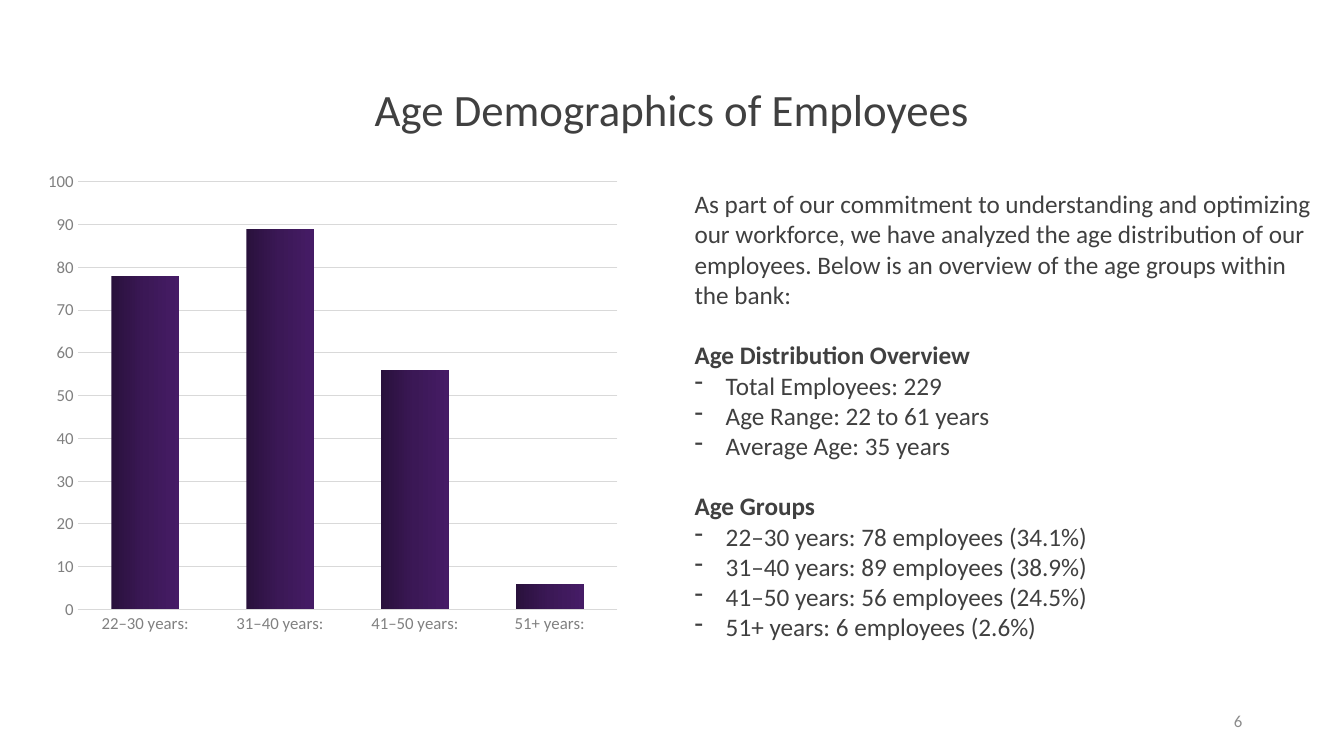
from copy import deepcopy

from pptx import Presentation
from pptx.chart.data import CategoryChartData
from pptx.dml.color import RGBColor
from pptx.enum.chart import XL_CHART_TYPE, XL_TICK_MARK
from pptx.enum.text import MSO_ANCHOR, PP_ALIGN
from pptx.oxml.ns import qn
from pptx.util import Inches, Pt

COLUMNS = XL_CHART_TYPE.COLUMN_CLUSTERED
NO_TICK = XL_TICK_MARK.NONE
TOP, MIDDLE = MSO_ANCHOR.TOP, MSO_ANCHOR.MIDDLE
LEFT, CENTER, RIGHT = PP_ALIGN.LEFT, PP_ALIGN.CENTER, PP_ALIGN.RIGHT

THEME = {
    "font": "Calibri",
    "text": RGBColor.from_string("404040"),
    "axis": RGBColor.from_string("808080"),
    "number": RGBColor.from_string("8C8C8C"),
    "grid": RGBColor.from_string("D9D9D9"),
    "outline": RGBColor.from_string("436FC0"),
    "bar": [RGBColor.from_string(c) for c in ("29113C", "3B1856", "461C66")],
    "title_size": Pt(32),
    "body_size": Pt(18),
    "small_size": Pt(12),
    "hairline": Pt(0.75),
}
WIDTH, HEIGHT = Inches(13.33), Inches(7.5)
MARGIN = Inches(0.36)
INDENT = Inches(0.31)

prs = Presentation()
prs.slide_width, prs.slide_height = WIDTH, HEIGHT
slide = prs.slides.add_slide(prs.slide_layouts[6])


def style(font, size, color, bold=False):
    font.name = THEME["font"]
    font.size = THEME[size]
    font.color.rgb = THEME[color]
    font.bold = bold


def add_text(box, lines, size, color, anchor=TOP, align=LEFT):
    frame = slide.shapes.add_textbox(*box).text_frame
    frame.word_wrap = True
    frame.vertical_anchor = anchor
    for i, (kind, text) in enumerate(lines):
        paragraph = frame.paragraphs[0] if i == 0 else frame.add_paragraph()
        paragraph.text = text
        paragraph.alignment = align
        if kind == "heading":
            paragraph.space_before = Pt(21.6)
        if kind == "item":
            properties = paragraph._p.get_or_add_pPr()
            properties.set("marL", str(INDENT))
            properties.set("indent", str(-INDENT))
            bullet = properties.makeelement(qn("a:buChar"), {"char": "-"})
            properties.append(bullet)
        style(paragraph.font, size, color, kind == "heading")
    return frame


title = add_text((MARGIN, Inches(0.76), WIDTH - 2 * MARGIN, Inches(0.71)),
                 [("plain", "Age Demographics of Employees")],
                 "title_size", "text", MIDDLE, CENTER)
title.paragraphs[0].line_spacing = 0.9

overview = [
    ("plain", "As part of our commitment to understanding and optimizing our workforce, "
              "we have analyzed the age distribution of our employees. "
              "Below is an overview of the age groups within the bank:"),
    ("heading", "Age Distribution Overview"),
    ("item", "Total Employees: 229"),
    ("item", "Age Range: 22 to 61 years"),
    ("item", "Average Age: 35 years"),
    ("heading", "Age Groups"),
    ("item", "22–30 years: 78 employees (34.1%)"),
    ("item", "31–40 years: 89 employees (38.9%)"),
    ("item", "41–50 years: 56 employees (24.5%)"),
    ("item", "51+ years: 6 employees (2.6%)"),
]
add_text((Inches(6.79), Inches(1.82), Inches(6.36), Inches(4.64)),
         overview, "body_size", "text")

age_data = CategoryChartData()
age_data.categories = ["22–30 years:", "31–40 years:", "41–50 years:", "51+ years:"]
age_data.add_series("Series 1", (78, 89, 56, 6))
age_chart = slide.shapes.add_chart(COLUMNS, MARGIN, Inches(1.61), Inches(5.88),
                                   Inches(4.77), age_data).chart
age_chart.has_legend = False
age_chart.has_title = False
age_chart.font.name = THEME["font"]

age_axis, count_axis = age_chart.category_axis, age_chart.value_axis
for axis in (age_axis, count_axis):
    axis.major_tick_mark = axis.minor_tick_mark = NO_TICK
    style(axis.tick_labels.font, "small_size", "axis")
count_axis.minimum_scale, count_axis.maximum_scale = 0, 100
count_axis.major_unit = 10
count_axis.format.line.fill.background()
for line in (age_axis.format.line, count_axis.major_gridlines.format.line):
    line.color.rgb = THEME["grid"]
    line.width = THEME["hairline"]

age_plot = age_chart.plots[0]
age_plot.gap_width, age_plot.overlap = 100, -24
age_plot.vary_by_categories = False
employees = age_plot.series[0]
employees.format.line.color.rgb = THEME["outline"]
employees.format.line.width = THEME["hairline"]
for i in range(len(age_plot.categories)):
    fill = employees.points[i].format.fill
    fill.gradient()
    fill.gradient_angle = 0

for stops in age_chart._chartSpace.iter(qn("a:gsLst")):
    stops.insert(1, deepcopy(stops[0]))
for i in range(len(age_plot.categories)):
    stops = employees.points[i].format.fill.gradient_stops
    for stop, color, position in zip(stops, THEME["bar"], (0, 0.5, 1)):
        stop.color.rgb = color
        stop.position = position

add_text((Inches(9.42), Inches(6.95), Inches(3), Inches(0.4)),
         [("plain", "6")], "small_size", "number", MIDDLE, RIGHT)

prs.save("out.pptx")
